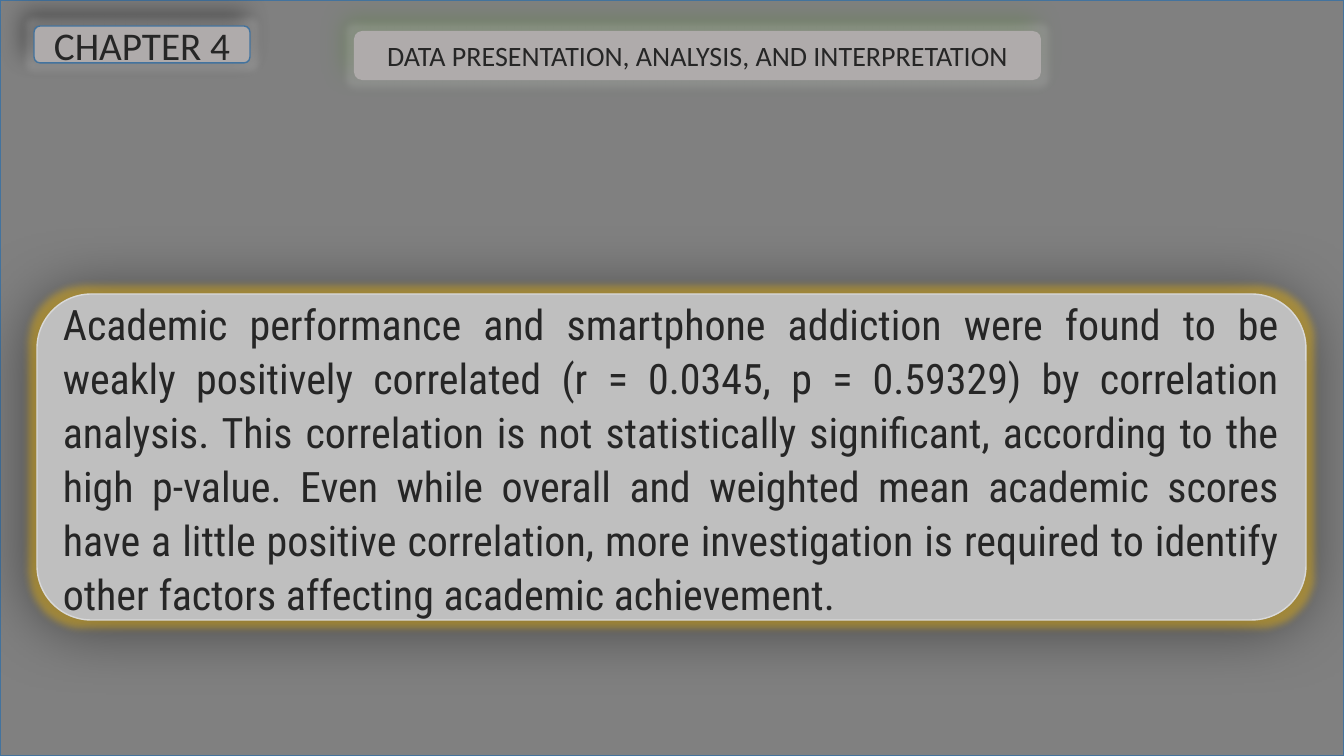
from dataclasses import dataclass

from lxml import etree
from pptx import Presentation
from pptx.dml.color import RGBColor
from pptx.enum.shapes import MSO_SHAPE
from pptx.enum.text import MSO_ANCHOR, PP_ALIGN
from pptx.oxml.ns import qn
from pptx.util import Emu, Pt

EMU_PER_PX = 914400 / 100.8


@dataclass(frozen=True)
class Theme:
    backdrop: str = "808080"
    outline: str = "43739E"
    label_fill: str = "AFABAB"
    label_glow: str = "A5A5A5"
    title_shadow: str = "548235"
    panel_fill: str = "BFBFBF"
    panel_line: str = "D9D9D9"
    panel_glow: str = "FFC000"
    shadow: str = "000000"
    text: str = "262626"
    heading_font: str = "Calibri"
    body_font: str = "Roboto Condensed"
    title_size: int = 20
    chapter_size: int = 28
    body_size: int = 30


@dataclass(frozen=True)
class Shadow:
    color: str
    opacity: int
    blur: int
    distance: int
    angle: int


class SlideBuilder:
    def __init__(self, slide, theme):
        self.slide = slide
        self.theme = theme

    def box(self, kind, left, top, width, height, fill, line=None):
        """Add a filled preset shape, placed in px."""
        edges = [Emu(round(n * EMU_PER_PX)) for n in (left, top, width, height)]
        shape = self.slide.shapes.add_shape(kind, *edges)
        shape.shadow.inherit = False
        shape.fill.solid()
        shape.fill.fore_color.rgb = RGBColor.from_string(fill)
        if line:
            shape.line.color.rgb = RGBColor.from_string(line)
            shape.line.width = Pt(1)
        else:
            shape.line.fill.background()
        return shape

    def effects(self, shape, glow, shadow):
        """Put a soft glow and an outer shadow on a shape."""
        effect_list = shape._element.spPr.find(qn("a:effectLst"))
        self._effect(effect_list, "a:glow", glow, 40, rad=Pt(10))
        self._effect(effect_list, "a:outerShdw", shadow.color, shadow.opacity,
                     blurRad=Pt(shadow.blur), dist=Pt(shadow.distance),
                     dir=shadow.angle * 60000, algn="ctr", rotWithShape=0)

    def _effect(self, effect_list, tag, color, opacity, **attributes):
        effect = etree.SubElement(effect_list, qn(tag))
        for name, value in attributes.items():
            effect.set(name, str(value))
        color_element = etree.SubElement(effect, qn("a:srgbClr"), val=color)
        etree.SubElement(color_element, qn("a:alpha"), val=str(opacity * 1000))

    def text(self, shape, words, font, size, align=PP_ALIGN.CENTER):
        """Write one paragraph, centred vertically, and return it."""
        frame = shape.text_frame
        frame.word_wrap = True
        frame.vertical_anchor = MSO_ANCHOR.MIDDLE
        paragraph = frame.paragraphs[0]
        paragraph.alignment = align
        run = paragraph.add_run()
        run.text = words
        run.font.name = font
        run.font.size = Pt(size)
        run.font.color.rgb = RGBColor.from_string(self.theme.text)
        return paragraph

    def label(self, words, left, top, width, height, size, shadow_color, line=None):
        """Add a rounded heading label."""
        shape = self.box(MSO_SHAPE.ROUNDED_RECTANGLE, left, top, width, height,
                         self.theme.label_fill, line)
        self.effects(shape, self.theme.label_glow, Shadow(shadow_color, 38, 16, 10, 235))
        self.text(shape, words, self.theme.heading_font, size)

    def panel(self, words, left, top, width, height):
        """Add the large rounded panel of justified text."""
        shape = self.box(MSO_SHAPE.ROUNDED_RECTANGLE, left, top, width, height,
                         self.theme.panel_fill, self.theme.panel_line)
        self.effects(shape, self.theme.panel_glow, Shadow(self.theme.shadow, 50, 46, 3, 135))
        paragraph = self.text(shape, words, self.theme.body_font,
                              self.theme.body_size, PP_ALIGN.JUSTIFY)
        paragraph.line_spacing = 1.07
        paragraph.space_after = Pt(8)


def main():
    theme = Theme()
    presentation = Presentation()
    presentation.slide_width = Emu(round(1344 * EMU_PER_PX))
    presentation.slide_height = Emu(round(756 * EMU_PER_PX))
    slide = presentation.slides.add_slide(presentation.slide_layouts[6])
    builder = SlideBuilder(slide, theme)

    # Backdrop
    builder.box(MSO_SHAPE.FLOWCHART_PROCESS, 0, 0, 1344, 756, theme.backdrop, theme.outline)

    # Headings
    builder.label("DATA PRESENTATION, ANALYSIS, AND INTERPRETATION",
                  354, 31, 687, 49, theme.title_size, theme.title_shadow)
    builder.label("CHAPTER 4", 34, 26, 216, 37,
                  theme.chapter_size, theme.shadow, theme.outline)

    # Findings
    builder.panel(
        "Academic performance and smartphone addiction were found to be weakly "
        "positively correlated (r = 0.0345, p = 0.59329) by correlation analysis. "
        "This correlation is not statistically significant, according to the high "
        "p-value. Even while overall and weighted mean academic scores have a little "
        "positive correlation, more investigation is required to identify other "
        "factors affecting academic achievement.",
        37, 294, 1269, 326)

    presentation.save("out.pptx")


if __name__ == "__main__":
    main()
